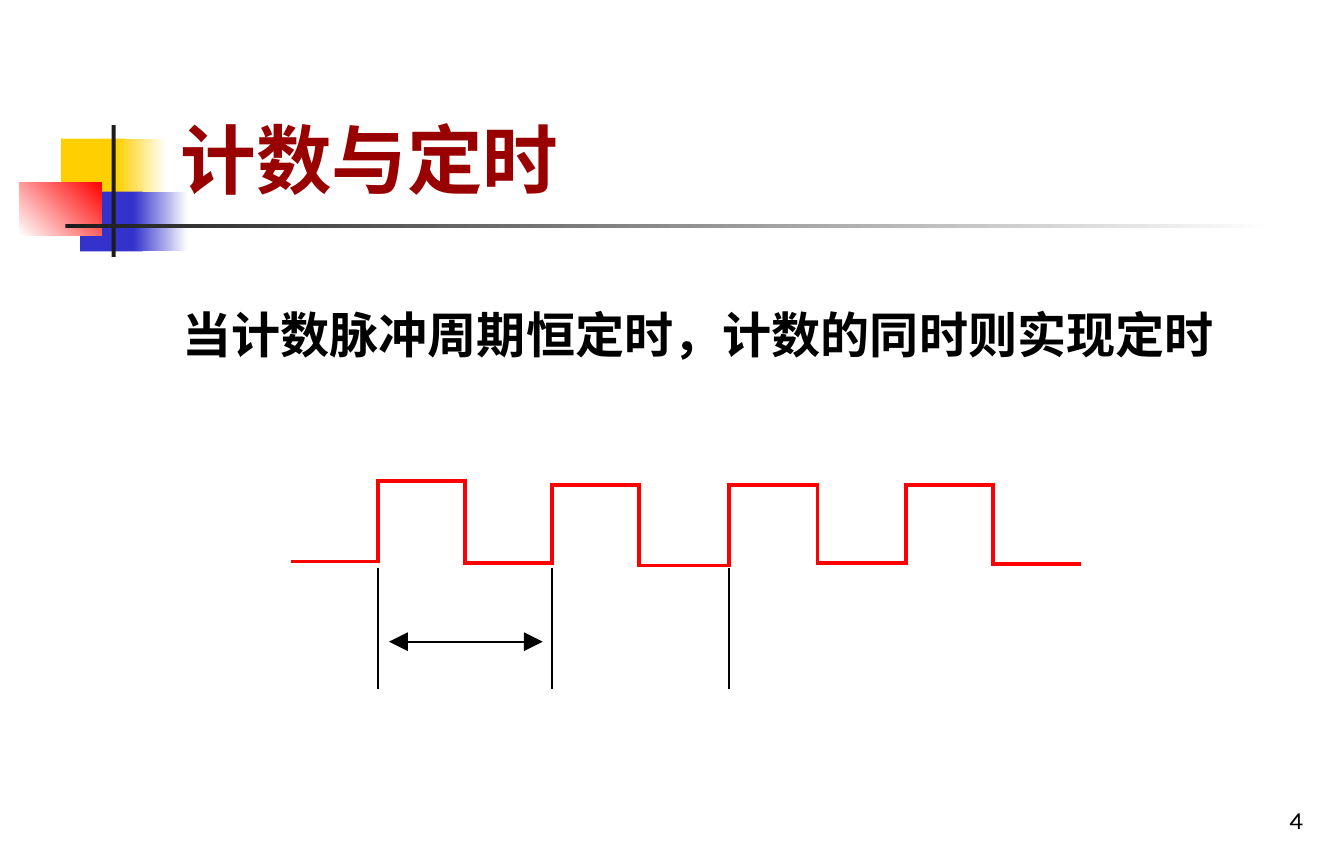
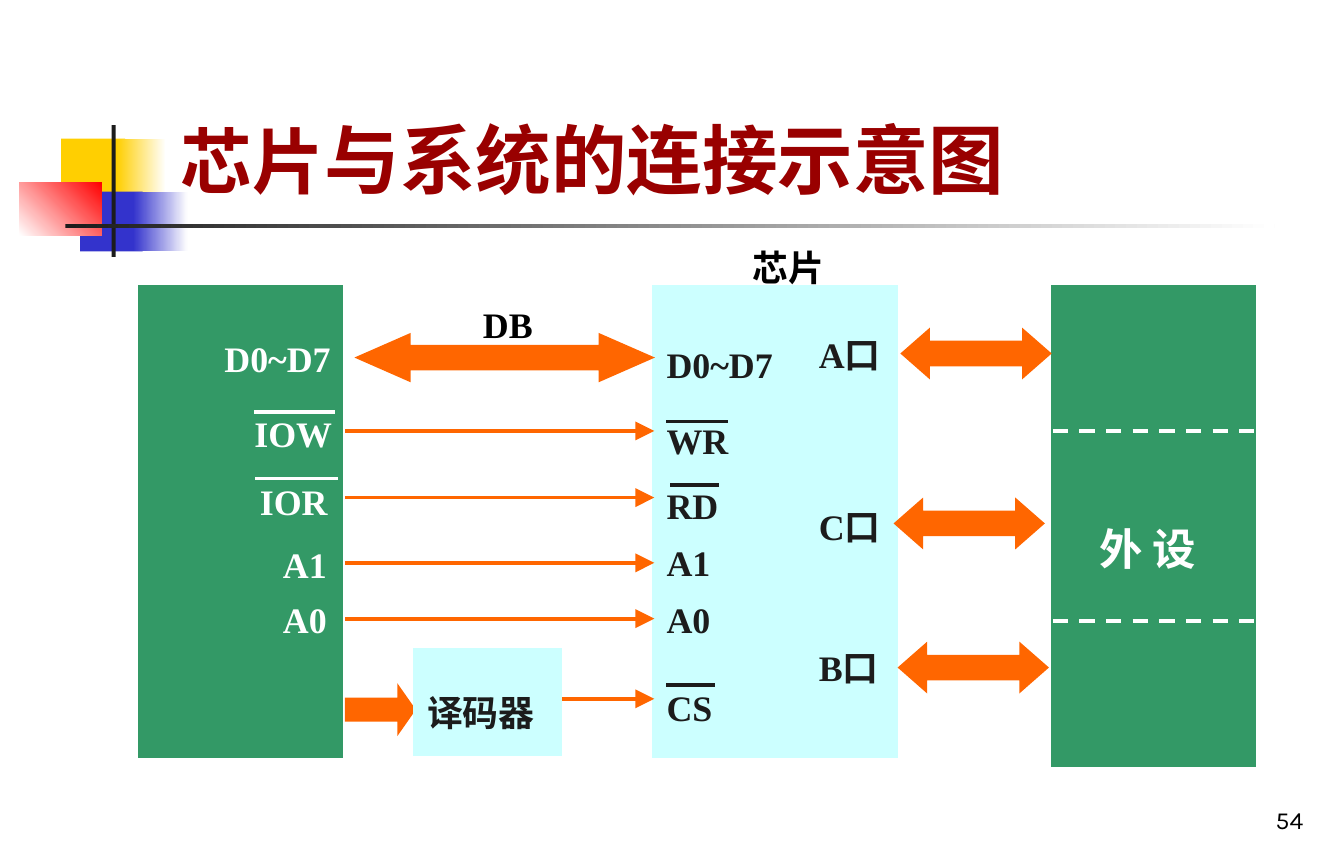
from lxml.etree import SubElement
from pptx import Presentation
from pptx.dml.color import RGBColor
from pptx.enum.dml import MSO_LINE
from pptx.enum.shapes import MSO_CONNECTOR, MSO_SHAPE as SHAPE
from pptx.enum.text import MSO_ANCHOR as ANCHOR, PP_ALIGN as ALIGN
from pptx.oxml.ns import qn
from pptx.util import Inches, Pt

# Shared look
CJK, LATIN, NUMBER_FONT = "Noto Sans CJK SC", "Times New Roman", "Karla"
BLACK, WHITE, INK, TITLE_RED = "000000", "FFFFFF", "1C1C1C", "990000"
YELLOW, BLUE, RED = "FFCF01", "3333CC", "FF0000"
GREEN, CYAN, ORANGE = "339966", "CCFFFF", "FF6600"
TITLE_BOX = (1.24, 0.2, 8.42, 1.35)
NUMBER_BOX = (7.61, 5.77, 2.06, 0.42)
ORNAMENT = [  # box, colour or (from, to, angle)
    ((0.45, 1.02, 0.47, 0.44), YELLOW),
    ((0.86, 1.02, 0.36, 0.44), (YELLOW, WHITE, 0)),
    ((0.59, 1.41, 0.46, 0.44), BLUE),
    ((0.98, 1.41, 0.4, 0.44), (BLUE, WHITE, 0)),
    ((0.14, 1.34, 0.61, 0.39), (WHITE, RED, 45)),
    ((0.82, 0.92, 0.03, 0.97), INK),
    ((0.48, 1.65, 8.89, 0.03), (INK, WHITE, 0)),
]

# Counting and timing: pulse train
TIMING_TITLE = [("计数与定时", 40)]
TIMING_TEXT = "当计数脉冲周期恒定时，计数的同时则实现定时"
PULSE_EDGES = [2.15, 2.78, 3.42, 4.06, 4.7, 5.36, 6.01, 6.66, 7.3, 7.93]
PULSE_LEVELS = [4.13, 3.54, 4.14, 3.57, 4.16, 3.57, 4.14, 3.57, 4.15]
GUIDE_TOP, GUIDE_BOTTOM = 4.19, 5.06
PERIOD = (2.86, 4.72, 3.99, 4.72)

# Interface chip wiring
CHIP = "芯片"
WIRING_TITLE = [(CHIP, 38), ("与系统的连接示意图", 40)]
BLOCKS = [
    ((1.03, 2.11, 1.48, 3.45), GREEN),
    ((4.81, 2.11, 1.78, 3.45), CYAN),
    ((7.74, 2.11, 1.48, 3.52), GREEN),
]
DECODER = (3.05, 4.78, 1.07, 0.77)
BUSES = [  # arrow, box, head length
    (SHAPE.LEFT_RIGHT_ARROW, (2.64, 2.47, 2.14, 0.32), 1.14),
    (SHAPE.RIGHT_ARROW, (2.55, 5.07, 0.49, 0.3), 0.35),
    (SHAPE.LEFT_RIGHT_ARROW, (6.64, 2.44, 1.07, 0.32), 0.57),
    (SHAPE.LEFT_RIGHT_ARROW, (6.59, 3.69, 1.07, 0.32), 0.57),
    (SHAPE.LEFT_RIGHT_ARROW, (6.62, 4.75, 1.07, 0.32), 0.57),
]
SIGNALS = [(2.55, 3.17), (2.55, 3.66), (2.55, 4.14), (2.55, 4.55), (3.95, 5.14)]
SIGNAL_END = 4.81
LABELS = [  # text, left, top, width, colour
    ("D0~D7", 1.56, 2.43, 1.15, WHITE),
    ("IOW", 1.78, 2.98, 0.82, WHITE),
    ("IOR", 1.82, 3.48, 0.82, WHITE),
    ("A1", 1.99, 3.94, 0.65, WHITE),
    ("A0", 1.99, 4.35, 0.65, WHITE),
    ("DB", 3.46, 2.18, 0.82, BLACK),
    (CHIP, 5.44, 1.76, 0.82, BLACK),
    ("D0~D7", 4.81, 2.47, 1.15, INK),
    ("WR", 4.81, 3.03, 0.82, INK),
    ("RD", 4.81, 3.51, 0.82, INK),
    ("A1", 4.81, 3.93, 0.74, INK),
    ("A0", 4.81, 4.35, 0.74, INK),
    ("CS", 4.81, 4.99, 0.74, INK),
    ("A口", 5.93, 2.4, 0.74, INK),
    ("C口", 5.93, 3.66, 0.74, INK),
    ("B口", 5.93, 4.7, 0.74, INK),
]
OVERLINES = [  # left, right, y, colour
    (1.88, 2.45, 3.03, WHITE),
    (1.89, 2.47, 3.52, WHITE),
    (4.91, 5.34, 3.1, INK),
    (4.94, 5.27, 3.57, INK),
    (4.91, 5.24, 5.04, INK),
]
PORT_DIVIDERS = [3.17, 4.57]


def rgb(color):
    return RGBColor.from_string(color)


def inches(values):
    return [Inches(value) for value in values]


def write(holder, content, size=19, font=LATIN, color=INK, bold=True,
          align=ALIGN.LEFT, anchor=ANCHOR.TOP, spacing=None, margin=0.09):
    """Fill a text holder with a string or with (text, size) runs."""
    frame = holder.text_frame
    frame.word_wrap = True
    frame.vertical_anchor = anchor
    frame.margin_left = frame.margin_right = Inches(margin)
    frame.margin_top = frame.margin_bottom = Inches(0.05)
    paragraph = frame.paragraphs[0]
    paragraph.alignment = align
    paragraph.space_before = Pt(0)
    if spacing:
        paragraph.line_spacing = spacing
    for words, run_size in [(content, size)] if isinstance(content, str) else content:
        run = paragraph.add_run()
        run.text = words
        run.font.size, run.font.bold, run.font.name = Pt(run_size), bold, font
        run.font.color.rgb = rgb(color)
        SubElement(run.font._element, qn("a:ea"), typeface=CJK)


def text(slide, box, content, **style):
    write(slide.shapes.add_textbox(*inches(box)), content, **style)


def block(slide, box, fill, kind=SHAPE.RECTANGLE, outlined=True):
    shape = slide.shapes.add_shape(kind, *inches(box))
    shape.shadow.inherit = False
    if isinstance(fill, tuple):
        shape.fill.gradient()
        shape.fill.gradient_angle = fill[2]
        for stop, color in zip(shape.fill.gradient_stops, fill):
            stop.color.rgb = rgb(color)
    else:
        shape.fill.solid()
        shape.fill.fore_color.rgb = rgb(fill)
    if outlined:
        shape.line.color.rgb = rgb(fill)
        shape.line.width = Pt(2)
        SubElement(shape.element.spPr.find(qn("a:ln")), qn("a:miter"), lim="800000")
    else:
        shape.line.fill.background()
    return shape


def line(slide, ends, color, width=2, arrows=(), dash=None):
    connector = slide.shapes.add_connector(MSO_CONNECTOR.STRAIGHT, *inches(ends))
    connector.line.color.rgb = rgb(color)
    connector.line.width = Pt(width)
    properties = connector.element.spPr
    outline = properties.find(qn("a:ln"))
    if dash:
        connector.line.dash_style = dash
    else:
        outline.set("cap", "sq")
    for end in arrows:
        SubElement(outline, qn("a:" + end), type="triangle", w="lg", len="lg")
    SubElement(properties, qn("a:effectLst"))


def decorate(layout, slide):
    """Draw the ornament once and move it to the layout."""
    for number, (box, fill) in enumerate(ORNAMENT, 101):
        part = block(slide, box, fill, outlined=False).element
        part.nvSpPr.cNvPr.set("id", str(number))
        layout.shapes.element.append(part)


def new_slide(prs, layout, title, number):
    slide = prs.slides.add_slide(layout)
    holder = slide.shapes.title
    holder.left, holder.top, holder.width, holder.height = inches(TITLE_BOX)
    write(holder, title, font=CJK, color=TITLE_RED, anchor=ANCHOR.BOTTOM)
    text(slide, NUMBER_BOX, number, size=13, font=NUMBER_FONT, color=BLACK,
         bold=False, align=ALIGN.RIGHT, anchor=ANCHOR.BOTTOM)
    return slide


def draw_timing(slide):
    text(slide, (1.24, 2.19, 8.03, 0.54), TIMING_TEXT, size=26, font=CJK,
         color=BLACK, margin=0.1)
    # Pulse levels and the edges between them
    for left, right, level in zip(PULSE_EDGES, PULSE_EDGES[1:], PULSE_LEVELS):
        line(slide, (left, level, right, level), RED)
    for x, before, after in zip(PULSE_EDGES[1:], PULSE_LEVELS, PULSE_LEVELS[1:]):
        line(slide, (x, before, x, after), RED)
    # One period between guides below the rising edges
    for x in PULSE_EDGES[1:6:2]:
        line(slide, (x, GUIDE_TOP, x, GUIDE_BOTTOM), BLACK, width=1.25)
    line(slide, PERIOD, BLACK, width=1.25, arrows=("headEnd", "tailEnd"))


def draw_wiring(slide):
    for box, color in BLOCKS:
        block(slide, box, color)
    # Buses and signals, with the decoder over their ends
    for kind, box, head in BUSES:
        bus = block(slide, box, ORANGE, kind)
        bus.adjustments[0], bus.adjustments[1] = 0.5, head
    for start, y in SIGNALS:
        line(slide, (start, y, SIGNAL_END, y), ORANGE, arrows=("tailEnd",))
    block(slide, DECODER, CYAN)
    # Labels
    for words, left, top, width, color in LABELS:
        text(slide, (left, top, width, 0.42), words, color=color)
    text(slide, (3.05, 4.92, 1.15, 0.53), "译码器", font=CJK, spacing=1.35)
    text(slide, (7.99, 3.66, 1.15, 0.62), "外 设", size=23, color=WHITE, spacing=1.35)
    for left, right, y, color in OVERLINES:
        line(slide, (left, y, right, y), color)
    left, _, width, _ = BLOCKS[-1][0]
    for y in PORT_DIVIDERS:
        line(slide, (left, y, left + width, y), WHITE, dash=MSO_LINE.DASH)


def main():
    prs = Presentation()
    prs.slide_width, prs.slide_height = inches((9.88, 6.34))
    layout = prs.slide_layouts[5]
    timing = new_slide(prs, layout, TIMING_TITLE, "4")
    decorate(layout, timing)
    draw_timing(timing)
    draw_wiring(new_slide(prs, layout, WIRING_TITLE, "54"))
    prs.save("out.pptx")


if __name__ == "__main__":
    main()
